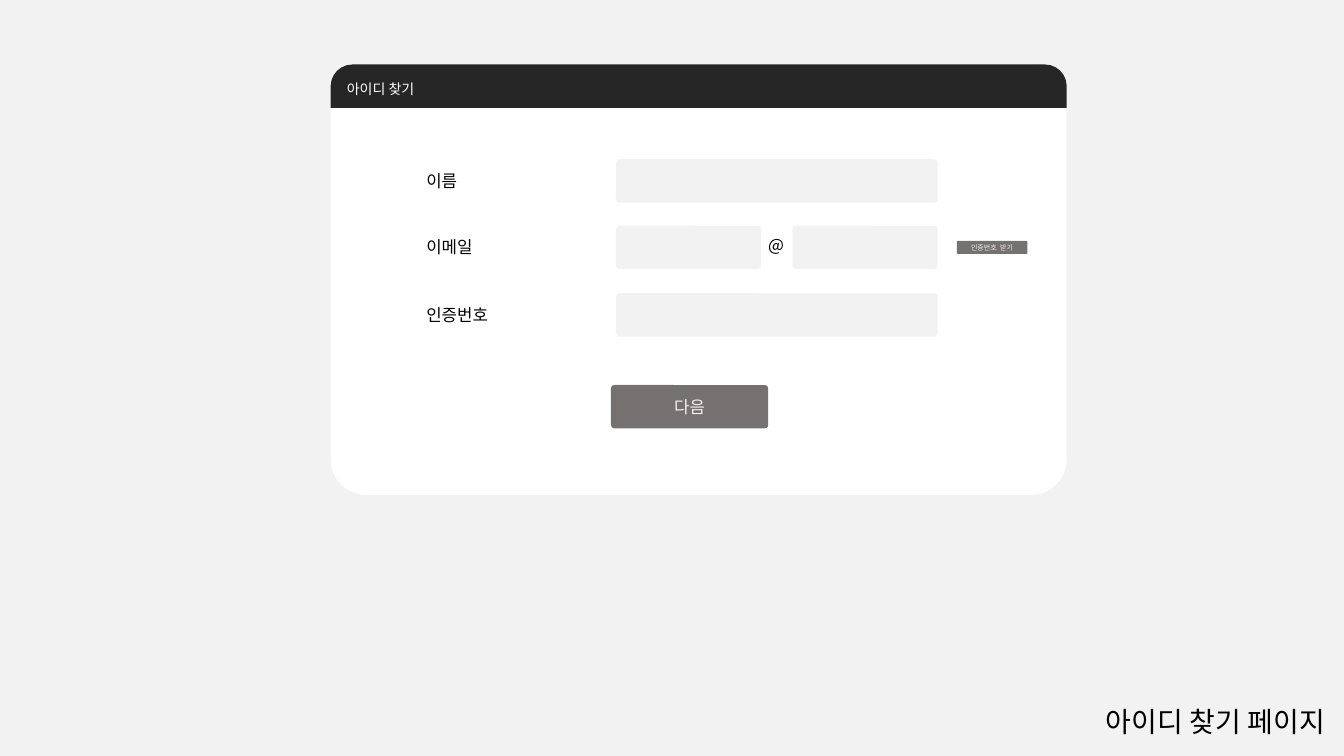
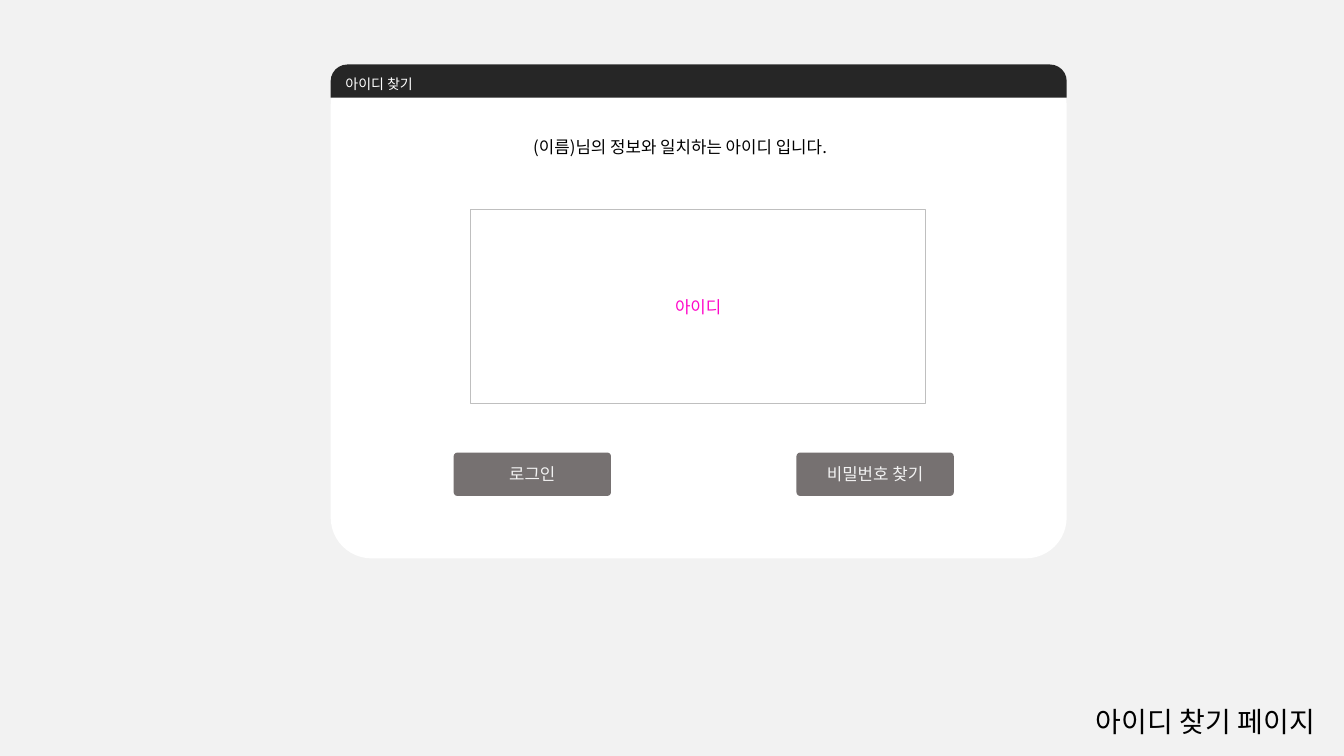
from dataclasses import dataclass

from lxml import etree
from pptx import Presentation
from pptx.dml.color import RGBColor
from pptx.enum.shapes import MSO_SHAPE
from pptx.enum.text import MSO_ANCHOR, PP_ALIGN
from pptx.oxml.ns import qn
from pptx.util import Inches, Pt

ROUNDED = MSO_SHAPE.ROUNDED_RECTANGLE
TOP_ROUNDED = MSO_SHAPE.ROUND_2_SAME_RECTANGLE
RECTANGLE = MSO_SHAPE.RECTANGLE
TOP, MIDDLE = MSO_ANCHOR.TOP, MSO_ANCHOR.MIDDLE
LEFT, CENTER = PP_ALIGN.LEFT, PP_ALIGN.CENTER


@dataclass(frozen=True)
class Theme:
    """Colours, type sizes and shared measures."""
    font: str = "Noto Sans CJK KR"
    canvas: str = "F2F2F2"
    panel: str = "FFFFFF"
    header: str = "262626"
    button: str = "767171"
    outline: str = "BFBFBF"
    ink: str = "000000"
    accent: str = "FE06C9"
    page_size: float = 20
    body_size: float = 12
    header_size: float = 10
    tiny_size: float = 5
    radius: float = 0.083
    control_height: float = 0.43
    button_width: float = 1.56
    panel_left: float = 3.28
    panel_top: float = 0.64
    panel_width: float = 7.3


THEME = Theme()


def apply_format(target, values):
    """Set every named attribute on the target."""
    for name, value in values.items():
        setattr(target, name, value)


def write(shape, text, size, color, align=LEFT, anchor=TOP, **frame_format):
    """Write one styled line into a shape or text box."""
    frame = shape.text_frame
    apply_format(frame, {"word_wrap": True, "vertical_anchor": anchor, **frame_format})
    paragraph = frame.paragraphs[0]
    paragraph.alignment = align
    run = paragraph.add_run()
    run.text = text
    apply_format(run.font, {"name": THEME.font, "size": Pt(size)})
    run.font.color.rgb = RGBColor.from_string(color)
    east_asian = etree.SubElement(run.font._element, qn("a:ea"))
    east_asian.set("typeface", THEME.font)


def add_label(slide, text, left, top, width, height=0.3,
              size=THEME.body_size, align=LEFT):
    """Add dark text without a background."""
    label = slide.shapes.add_textbox(*map(Inches, (left, top, width, height)))
    write(label, text, size, THEME.ink, align)


def add_block(slide, kind, left, top, width, height, fill=None, line=None, radii=()):
    """Add a flat preset shape and return it."""
    block = slide.shapes.add_shape(kind, *map(Inches, (left, top, width, height)))
    block.shadow.inherit = False
    for index, radius in enumerate(radii):
        block.adjustments[index] = radius
    if fill:
        block.fill.solid()
        block.fill.fore_color.rgb = RGBColor.from_string(fill)
    else:
        block.fill.background()
    if line:
        block.line.color.rgb = RGBColor.from_string(line)
        block.line.width = Pt(0.75)
    else:
        block.line.fill.background()
    return block


def add_field(slide, left, top, width):
    """Add an empty input field."""
    add_block(slide, ROUNDED, left, top, width, THEME.control_height,
              THEME.canvas, radii=(THEME.radius,))


def add_button(slide, text, left, top, width=THEME.button_width,
               height=THEME.control_height, size=THEME.body_size):
    """Add a grey button with a centred caption."""
    button = add_block(slide, ROUNDED, left, top, width, height,
                       THEME.button, radii=(THEME.radius,))
    write(button, text, size, THEME.canvas, CENTER, MIDDLE,
          margin_top=0, margin_bottom=0)


def add_page(deck, panel_height, header_height, page_label_left):
    """Add a slide with its page label and titled panel."""
    slide = deck.slides.add_slide(deck.slide_layouts[6])
    slide.background.fill.solid()
    slide.background.fill.fore_color.rgb = RGBColor.from_string(THEME.canvas)
    add_label(slide, "아이디 찾기 페이지", page_label_left, 6.94, 2.95, 0.44,
              THEME.page_size, CENTER)
    place = THEME.panel_left, THEME.panel_top, THEME.panel_width
    add_block(slide, ROUNDED, *place, panel_height, THEME.panel, radii=(THEME.radius,))
    header = add_block(slide, TOP_ROUNDED, *place, header_height,
                       THEME.header, radii=(0.5, 0))
    write(header, "아이디 찾기", THEME.header_size, THEME.panel, anchor=MIDDLE)
    return slide


def build_request(deck):
    """Build the form that asks for the member's details."""
    slide = add_page(deck, 4.27, 0.43, 10.58)
    field_left, full_width, half_width = 6.11, 3.19, 1.44
    domain_left = field_left + full_width - half_width
    rows = (
        ("이름", 1.58, [(field_left, full_width)]),
        ("이메일", 2.24, [(field_left, half_width), (domain_left, half_width)]),
        ("인증번호", 2.91, [(field_left, full_width)]),
    )
    for caption, top, fields in rows:
        add_label(slide, caption, 4.13, top + 0.06, 1.44)
        for left, width in fields:
            add_field(slide, left, top, width)
    add_label(slide, "@", 7.52, 2.28, 0.41)
    add_button(slide, "인증번호  받기", 9.49, 2.39, 0.7, 0.13, THEME.tiny_size)
    add_button(slide, "다음", 6.06, 3.82)


def build_result(deck):
    """Build the panel that shows the matching ID."""
    slide = add_page(deck, 4.9, 0.33, 10.48)
    add_label(slide, "(이름)님의 정보와 일치하는 아이디 입니다.", 5.19, 1.31, 3.49)
    found_id = add_block(slide, RECTANGLE, 4.67, 2.08, 4.51, 1.92, line=THEME.outline)
    write(found_id, "아이디", THEME.body_size, THEME.accent, CENTER, MIDDLE)
    for caption, left in (("로그인", 4.5), ("비밀번호 찾기", 7.9)):
        add_button(slide, caption, left, 4.49)


def main():
    """Build and save the deck."""
    deck = Presentation()
    apply_format(deck, {"slide_width": Inches(13.33), "slide_height": Inches(7.5)})
    build_request(deck)
    build_result(deck)
    deck.save("out.pptx")


if __name__ == "__main__":
    main()
